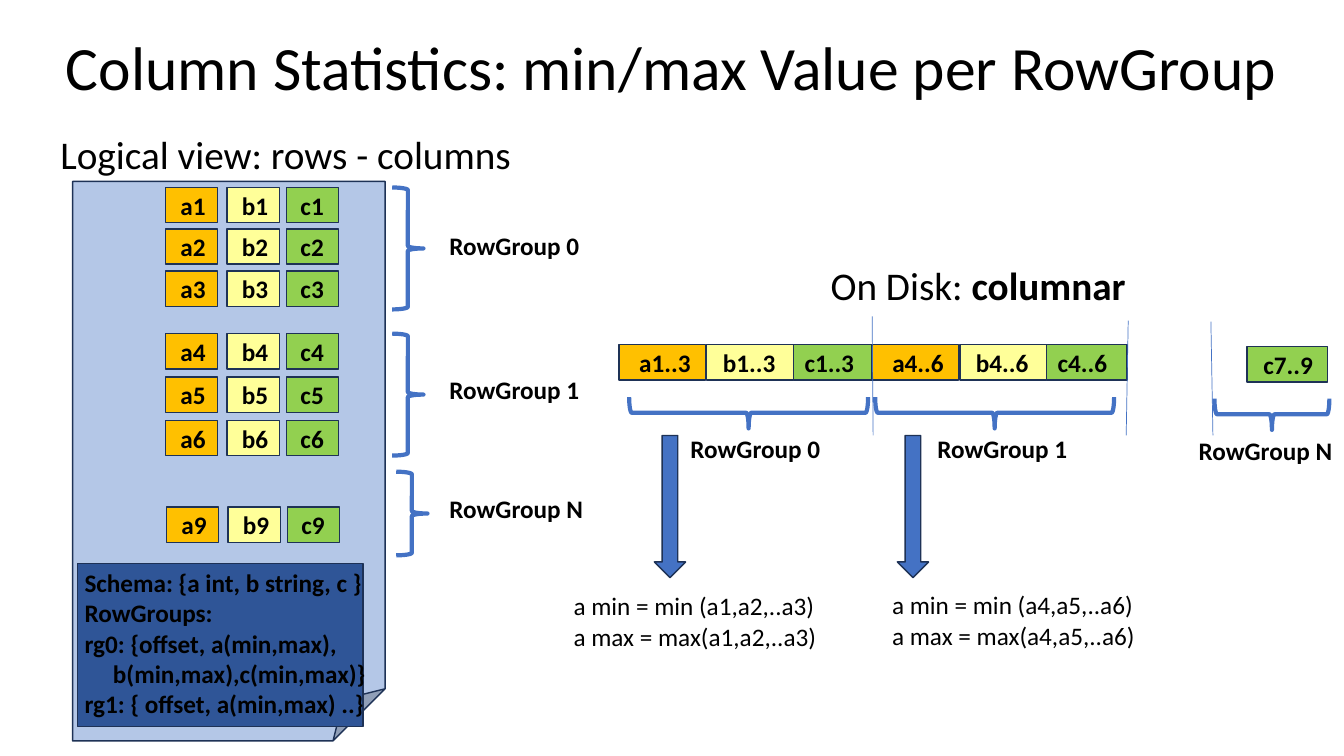
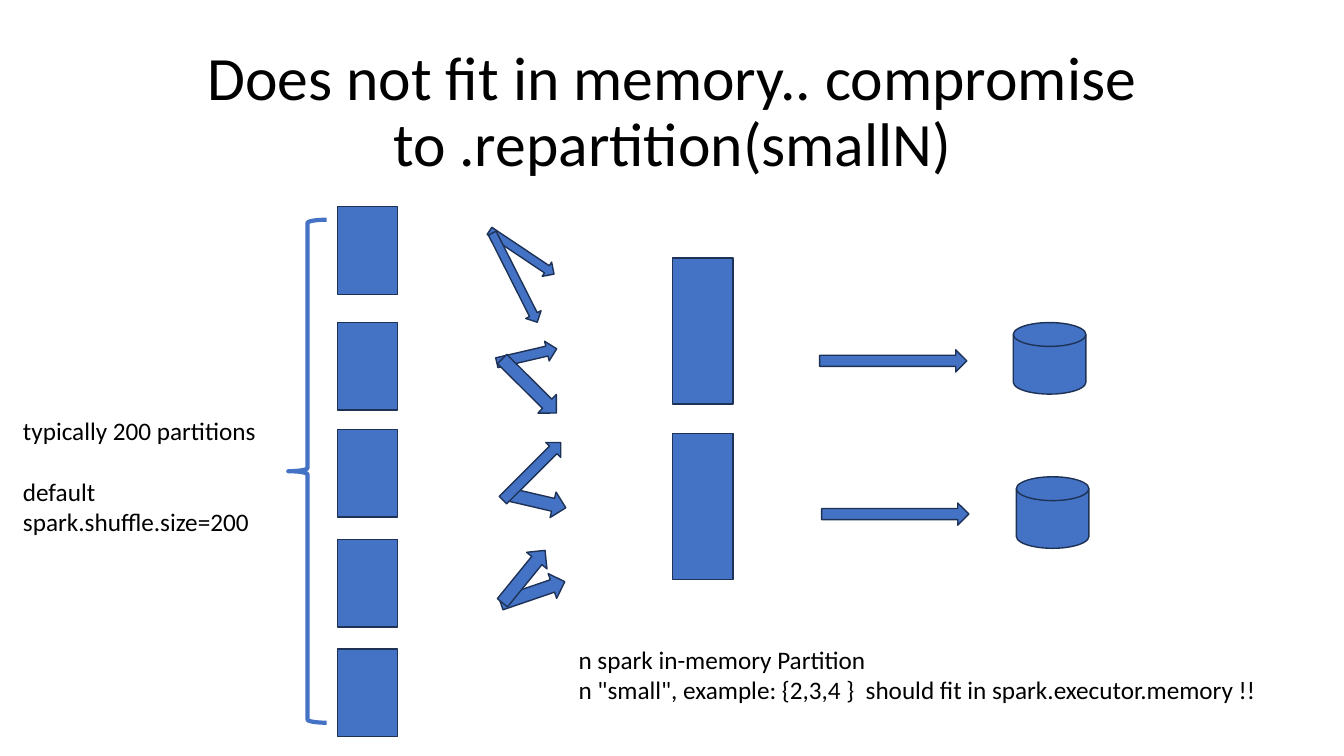
from pptx import Presentation
from pptx.dml.color import RGBColor
from pptx.enum.shapes import MSO_CONNECTOR, MSO_SHAPE as Kind
from pptx.enum.text import MSO_ANCHOR as Anchor, MSO_AUTO_SIZE as Fit, PP_ALIGN as Align
from pptx.oxml import parse_xml
from pptx.oxml.ns import nsdecls
from pptx.util import Pt

PX = 9144
FONT = "Calibri"
BLACK = RGBColor(0x00, 0x00, 0x00)
BLUE = RGBColor(0x44, 0x72, 0xC4)
NAVY = RGBColor(0x2F, 0x55, 0x97)
PALE = RGBColor(0xB4, 0xC7, 0xE7)
EDGE = RGBColor(0x1E, 0x32, 0x56)
ORANGE = RGBColor(0xFF, 0xC0, 0x00)
YELLOW = RGBColor(0xFF, 0xFF, 0x99)
GREEN = RGBColor(0x92, 0xD0, 0x50)


def emu(*nums):
    return [n * PX for n in nums]


class Deck:
    def __init__(self, wide, high):
        self.prs = Presentation()
        self.prs.slide_width, self.prs.slide_height = emu(wide, high)
        self.slide = None

    def style(self, para, size=18, bold=False):
        font = para.font
        font.name, font.size, font.bold = FONT, Pt(size), bold
        font.color.rgb = BLACK

    def page(self, title, *box):
        self.slide = self.prs.slides.add_slide(self.prs.slide_layouts[5])
        head = self.slide.shapes.title
        head.left, head.top, head.width, head.height = emu(*box)
        frame = head.text_frame
        frame.text = title
        frame.auto_size = Fit.NONE
        frame.vertical_anchor = Anchor.MIDDLE
        para = frame.paragraphs[0]
        para.alignment, para.line_spacing = Align.CENTER, 0.9
        self.style(para, 44)

    def shape(self, kind, *box, fill=BLUE, turn=0):
        item = self.slide.shapes.add_shape(kind, *emu(*box))
        item.shadow.inherit = False
        item.rotation = turn
        item.fill.solid()
        item.fill.fore_color.rgb = fill
        item.line.color.rgb = EDGE
        item.line.width = Pt(1)
        return item

    def brace(self, *box, kind=Kind.RIGHT_BRACE, turn=0):
        item = self.shape(kind, *box, turn=turn)
        item.fill.background()
        item.line.color.rgb = BLUE
        item.line.width = Pt(3)

    def cell(self, text, x, y, wide, fill, inset):
        item = self.shape(Kind.RECTANGLE, x, y, wide, 35, fill=fill)
        frame = item.text_frame
        frame.text = text
        frame.word_wrap = False
        frame.vertical_anchor = Anchor.MIDDLE
        frame.margin_left = inset * PX
        frame.margin_right = frame.margin_top = frame.margin_bottom = 0
        para = frame.paragraphs[0]
        para.alignment = Align.LEFT
        self.style(para, bold=True)

    def text(self, lines, *box, size=18, bold=False):
        item = self.slide.shapes.add_textbox(*emu(*box))
        frame = item.text_frame
        frame.word_wrap = False
        frame.auto_size = Fit.SHAPE_TO_FIT_TEXT
        frame.text = "\n".join(lines)
        for para in frame.paragraphs:
            self.style(para, size, bold)
        return frame

    def rule(self, *ends):
        item = self.slide.shapes.add_connector(MSO_CONNECTOR.STRAIGHT, *emu(*ends))
        item.line.color.rgb = BLUE
        item.line.width = Pt(0.5)
        item._element.spPr.append(parse_xml(f"<a:effectLst {nsdecls('a')}/>"))


def stats(deck):
    deck.page("Column Statistics: min/max Value per RowGroup", 0, 15, 1333, 109)
    deck.shape(Kind.FOLDED_CORNER, 72, 180, 310, 555, fill=PALE)
    deck.text(["Logical view: rows - columns"], 50, 124, 472, 57, size=28)

    cols = ("a", 164, ORANGE, 15), ("b", 225, YELLOW, 15), ("c", 284, GREEN, 14)
    rows = (1, 186, 0), (2, 227, 0), (3, 269, 0), (4, 331, 0), (5, 374, 0), (6, 417, 0), (9, 503, 1)
    for num, y, shift in rows:
        for name, x, fill, inset in cols:
            deck.cell(f"{name}{num}", x + shift, y, 52, fill, inset)

    groups = ("0", 389, 186, 121, 224), ("1", 389, 331, 121, 366), ("N", 393, 468, 83, 484)
    for name, x, y, high, top in groups:
        deck.brace(x, y, 31, high)
        deck.text([f"RowGroup {name}"], 436, top, 154, 40, bold=True)

    disk = deck.text(["On Disk: "], 814, 254, 325, 57, size=28)
    run = disk.paragraphs[0].add_run()
    run.text = "columnar"
    run.font.bold = True

    parts = ("a", 0, 86, ORANGE, 20), ("b", 87, 86, YELLOW, 16), ("c", 173, 80, GREEN, 11)
    for left, span in (614, "1..3"), (865, "4..6"):
        for name, x, wide, fill, inset in parts:
            deck.cell(name + span, left + x, 342, wide, fill, inset)
    deck.cell("c7..9", 1237, 344, 80, GREEN, 16)

    marks = ("0", 727, 291, 237, 675, 425), ("1", 971, 291, 237, 920, 425), ("N", 1246, 354, 114, 1179, 427)
    for name, x, y, high, left, top in marks:
        deck.brace(x, y, 31, high, turn=90)
        deck.text([f"RowGroup {name}"], left, top, 154, 40, bold=True)
    for low, high, top in (866, 865, 314), (1117, 1119, 318), (1203, 1201, 319):
        deck.rule(low, 432, high, top)

    deck.shape(Kind.RECTANGLE, 77, 559, 283, 162, fill=NAVY)
    deck.text([
        "Schema: {a int, b string, c }",
        "RowGroups:",
        "rg0: {offset, a(min,max), \v     b(min,max),c(min,max)}",
        "rg1: { offset, a(min,max) ..}",
    ], 74, 558, 302, 162, bold=True)

    for x, left, top, span in (649, 559, 581, "a1,a2,..a3"), (890, 875, 580, "a4,a5,..a6"):
        deck.shape(Kind.DOWN_ARROW, x, 432, 31, 141)
        deck.text([f"a min = min ({span})", f"a max = max({span})"], left, top, 270, 71)


def memory(deck):
    deck.page("Does not fit in memory.. compromise to .repartition(smallN)", 92, 40, 1150, 145)
    for y in 205, 320, 426, 535, 644:
        deck.shape(Kind.RECTANGLE, 335, y, 59, 87)

    arrows = (
        (492, 343, 61, 20, 346.9), (495, 575, 67, 26, 341.1),
        (479, 242, 77, 17, 33.8), (461, 267, 99, 17, 63.2),
        (487, 370, 76, 26, 44.9), (502, 484, 60, 26, 13.1),
        (487, 457, 81, 21, 315.1), (486, 559, 67, 26, 309.1),
    )
    for *box, turn in arrows:
        deck.shape(Kind.RIGHT_ARROW, *box, turn=turn)

    for y, x, top, left, lid in (256, 813, 347, 1005, 320), (430, 815, 499, 1008, 473):
        deck.shape(Kind.RECTANGLE, 667, y, 60, 145)
        deck.shape(Kind.RIGHT_ARROW, x, top, 146, 22)
        deck.shape(Kind.FLOWCHART_MAGNETIC_DISK, left, lid, 72, 71)

    deck.brace(286, 218, 38, 499, kind=Kind.LEFT_BRACE)
    note = deck.text(["typically 200 partitions", "default", "spark.shuffle.size=200"], 13, 407, 253, 131)
    note.paragraphs[1].space_before = Pt(22)
    deck.text([
        "n spark in-memory Partition",
        'n "small", example: {2,3,4 }  should fit in spark.executor.memory !!',
    ], 564, 634, 707, 71)


def main():
    deck = Deck(1333, 750)
    stats(deck)
    memory(deck)
    deck.prs.save("out.pptx")


if __name__ == "__main__":
    main()
